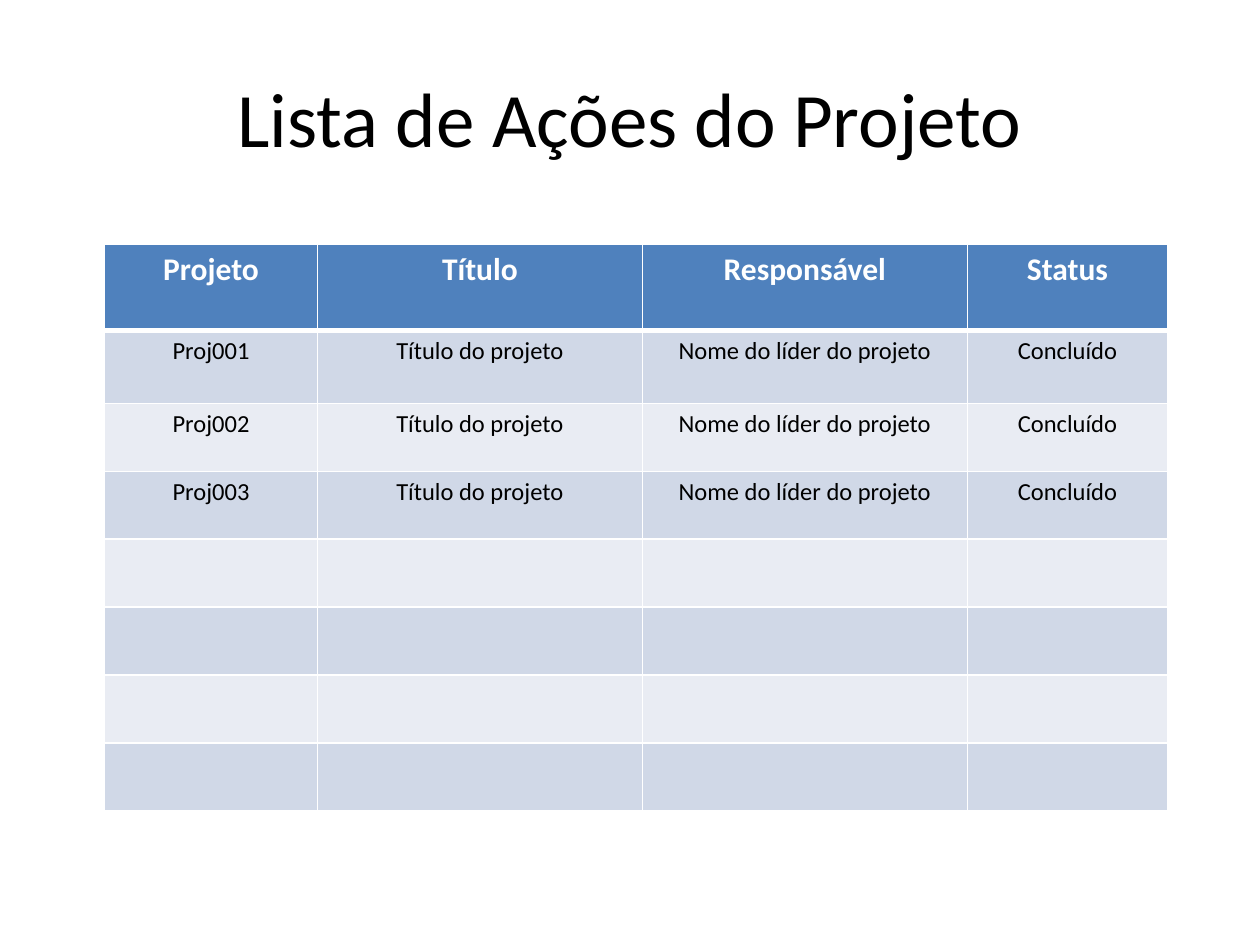
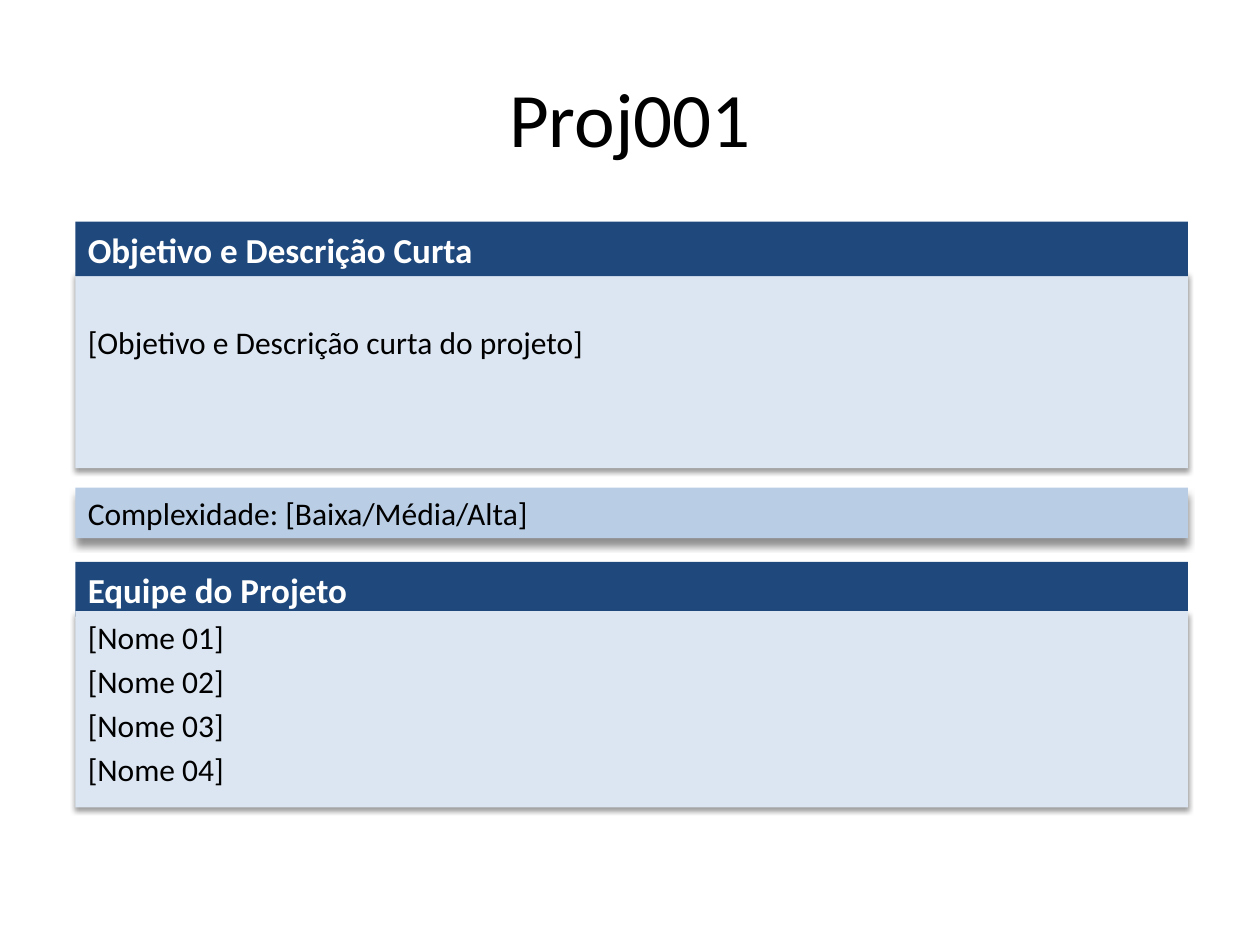
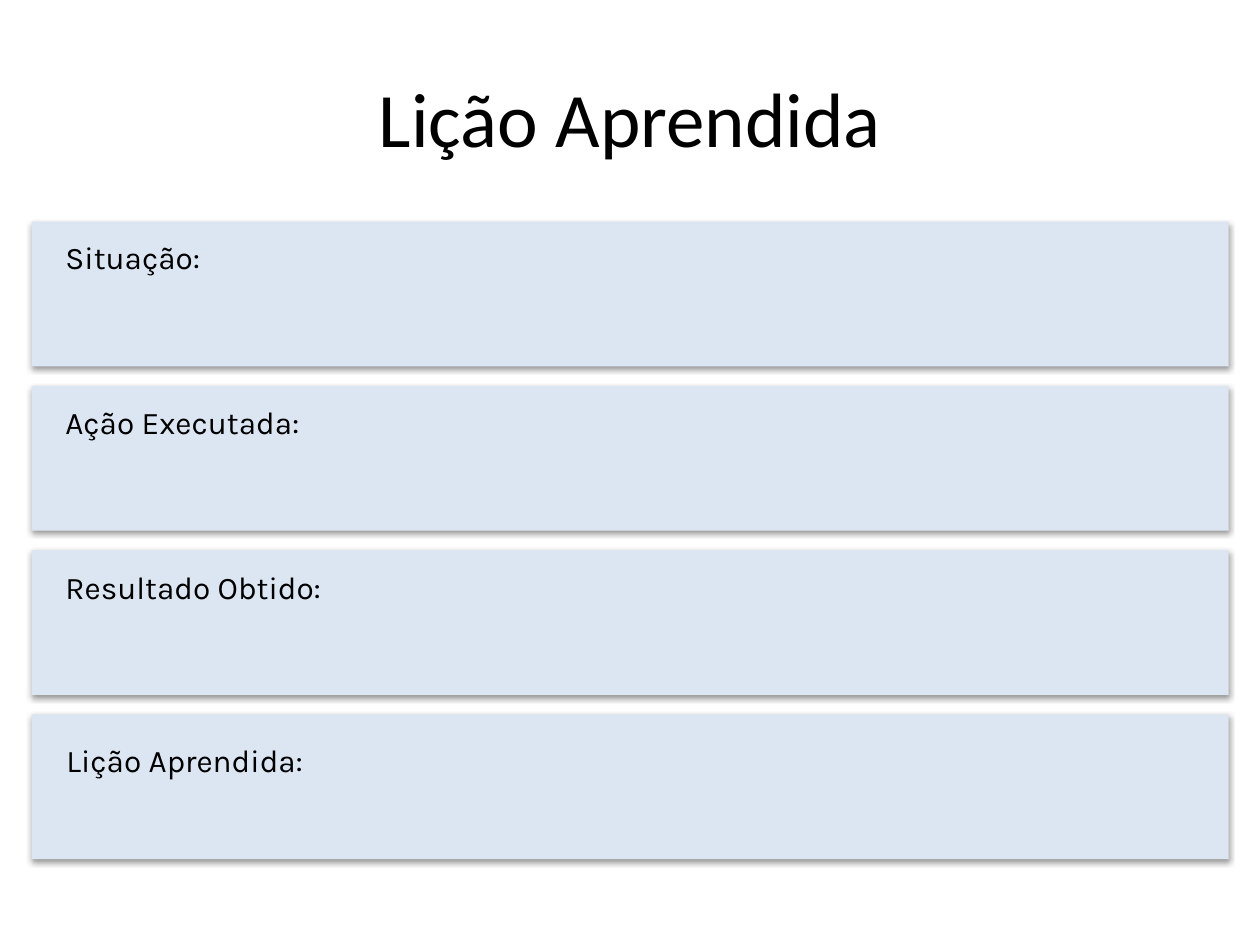
import pptx
import pptx.util
import pptx.dml.color
import pptx.enum.shapes
import pptx.enum.text
import pptx.oxml
import pptx.oxml.ns
from lxml import etree

Cm, Pt = pptx.util.Cm, pptx.util.Pt
ALIGN = pptx.enum.text.PP_ALIGN
ANCHOR = pptx.enum.text.MSO_ANCHOR

# Content
PROJECT_LIST_TITLE = "Lista de Ações do Projeto"
HEADINGS = ["Projeto", "Título", "Responsável", "Status"]
PROJECTS = [
    [code, "Título do projeto", "Nome do líder do projeto", "Concluído"]
    for code in ("Proj001", "Proj002", "Proj003")
]
EMPTY_ROWS = 4

PROJECT_TITLE = "Proj001"
OBJECTIVE_HEADING = "Objetivo e Descrição Curta"
OBJECTIVE = ["[Objetivo e Descrição curta do projeto]"]
COMPLEXITY = ["Complexidade: [Baixa/Média/Alta]"]
TEAM_HEADING = "Equipe do Projeto"
TEAM = ["[Nome 01]", "[Nome 02]", "[Nome 03]", "[Nome 04]"]

LESSON_TITLE = "Lição Aprendida"
# Label, its left edge and its distance below the top of its panel, in cm
LESSON_PARTS = [
    ("Situação:", 1.07, 0.21),
    ("Ação Executada:", 1.07, 0.23),
    ("Resultado Obtido:", 1.07, 0.23),
    ("Lição Aprendida:", 1.09, 0.41),
]

# Shared style
BLACK, WHITE = "000000", "FFFFFF"
NAVY, BLUE = "1F497D", "4F81BD"
PALE_BLUE, MID_BLUE = "DCE6F2", "B9CDE5"
BANDS = ["D0D8E7", "E9ECF3"]
BODY_FONT, LABEL_FONT = "Calibri", "Karla"
SOFT_SHADOW = (38, 3.1, 1.6)  # opacity %, blur pt, distance pt
STRONG_SHADOW = (44, 4, 4)

# Layout in cm
COLUMN_WIDTHS = [4.29, 6.55, 6.55, 4.04]
ROW_HEIGHTS = [1.73, 1.47] + [1.37] * (len(PROJECTS) - 1 + EMPTY_ROWS)
BLOCK_LEFT, BLOCK_WIDTH = 1.52, 22.43
HEADING_HEIGHT, BODY_HEIGHT = 1.1, 3.96
LESSON_TOP, LESSON_PITCH, LESSON_HEIGHT = 4.47, 3.31, 2.92


def color(value):
    """Turn a hex string into a colour."""
    return pptx.dml.color.RGBColor.from_string(value)


def write(frame, lines, size, font=BODY_FONT, ink=BLACK, bold=False,
          align=ALIGN.LEFT, space=0):
    """Put one styled paragraph per line into a text frame."""
    frame.word_wrap = True
    frame.text = "\n".join(lines)
    for paragraph in frame.paragraphs:
        paragraph.alignment = align
        paragraph.space_before = Pt(space)
        paragraph.font.name = font
        paragraph.font.size = Pt(size)
        paragraph.font.bold = bold
        paragraph.font.color.rgb = color(ink)


def add_text(slide, box, lines, size, anchor=ANCHOR.TOP, **style):
    """Add a text box placed by (left, top, width, height) in cm."""
    frame = slide.shapes.add_textbox(*map(Cm, box)).text_frame
    write(frame, lines, size, **style)
    frame.vertical_anchor = anchor


def add_shadow(shape, opacity, blur, distance):
    """Give a shape a black shadow falling straight down."""
    effects = shape._element.spPr.find(pptx.oxml.ns.qn("a:effectLst"))
    shadow = etree.SubElement(
        effects, pptx.oxml.ns.qn("a:outerShdw"), blurRad=str(Pt(blur)),
        dist=str(Pt(distance)), dir="5400000", rotWithShape="0")
    black = etree.SubElement(shadow, pptx.oxml.ns.qn("a:srgbClr"), val=BLACK)
    etree.SubElement(black, pptx.oxml.ns.qn("a:alpha"), val=str(opacity * 1000))


def add_panel(slide, box, fill, shadow=None):
    """Add a borderless rectangle placed in cm and return it."""
    shape = slide.shapes.add_shape(
        pptx.enum.shapes.MSO_SHAPE.RECTANGLE, *map(Cm, box))
    shape.fill.solid()
    shape.fill.fore_color.rgb = color(fill)
    shape.line.fill.background()
    shape.shadow.inherit = False
    if shadow:
        add_shadow(shape, *shadow)
    return shape


def add_block(slide, top, height, fill, lines, size=18, shadow=None,
              inset=0.13, **style):
    """Add a full-width panel with text at its top."""
    box = (BLOCK_LEFT, top, BLOCK_WIDTH, height)
    frame = add_panel(slide, box, fill, shadow).text_frame
    write(frame, lines, size, **style)
    frame.vertical_anchor = ANCHOR.TOP
    frame.margin_top = Cm(inset)


def add_heading(slide, top, text):
    """Add the dark band that names a block."""
    add_block(slide, top, HEADING_HEIGHT, NAVY, [text], size=20,
              ink=WHITE, bold=True)


def add_body(slide, top, lines, inset=0.13):
    """Add the pale panel that holds the text of a block."""
    add_block(slide, top, BODY_HEIGHT, PALE_BLUE, lines,
              shadow=SOFT_SHADOW, inset=inset, space=3.6)


def add_slide(presentation, title):
    """Add a blank slide with the shared title."""
    slide = presentation.slides.add_slide(presentation.slide_layouts[6])
    add_text(slide, (1.27, 0.76, 22.86, 3.18), [title], 44,
             anchor=ANCHOR.MIDDLE, align=ALIGN.CENTER)
    return slide


def set_borders(cell, top, bottom):
    """Draw white cell borders, with top and bottom widths in points."""
    properties = cell._tc.get_or_add_tcPr()
    for side, width in (("L", 0.96), ("R", 0.96), ("T", top), ("B", bottom)):
        properties.append(pptx.oxml.parse_xml(
            f'<a:ln{side} {pptx.oxml.ns.nsdecls("a")} w="{Pt(width)}">'
            f'<a:solidFill><a:srgbClr val="{WHITE}"/></a:solidFill>'
            f'</a:ln{side}>'))


def add_project_table(slide):
    """Add the banded list of projects."""
    rows = [HEADINGS] + PROJECTS + [[""] * len(HEADINGS)] * EMPTY_ROWS
    table = slide.shapes.add_table(
        len(rows), len(HEADINGS), Cm(2.11), Cm(4.93),
        Cm(sum(COLUMN_WIDTHS)), Cm(sum(ROW_HEIGHTS))).table
    for column, width in zip(table.columns, COLUMN_WIDTHS):
        column.width = Cm(width)
    for number, (row, height) in enumerate(zip(rows, ROW_HEIGHTS)):
        table.rows[number].height = Cm(height)
        is_header = number == 0
        for position, text in enumerate(row):
            cell = table.cell(number, position)
            set_borders(cell, 3 if number == 1 else 0.96,
                        3 if is_header else 0.96)
            cell.fill.solid()
            cell.fill.fore_color.rgb = color(
                BLUE if is_header else BANDS[(number - 1) % 2])
            write(cell.text_frame, [text], 18 if is_header else 14,
                  ink=WHITE if is_header else BLACK, bold=is_header,
                  align=ALIGN.CENTER)


def build_project(slide):
    """Lay out the objective, complexity and team blocks."""
    add_body(slide, 5.48, OBJECTIVE, inset=1.03)
    add_heading(slide, 4.47, OBJECTIVE_HEADING)
    add_block(slide, 9.83, 1.02, MID_BLUE, COMPLEXITY, shadow=STRONG_SHADOW)
    add_heading(slide, 11.33, TEAM_HEADING)
    add_body(slide, 12.32, TEAM)


def build_lesson(slide):
    """Stack one labelled panel per part of the lesson."""
    for number, (label, left, offset) in enumerate(LESSON_PARTS):
        top = LESSON_TOP + number * LESSON_PITCH
        add_panel(slide, (0.64, top, 24.13, LESSON_HEIGHT), PALE_BLUE,
                  SOFT_SHADOW)
        add_text(slide, (left, top + offset, 23.29, 3.53), [label], 18,
                 font=LABEL_FONT, space=3.6)


presentation = pptx.Presentation()
presentation.slide_width, presentation.slide_height = Cm(25.4), Cm(19.05)
add_project_table(add_slide(presentation, PROJECT_LIST_TITLE))
build_project(add_slide(presentation, PROJECT_TITLE))
build_lesson(add_slide(presentation, LESSON_TITLE))
presentation.save("out.pptx")
